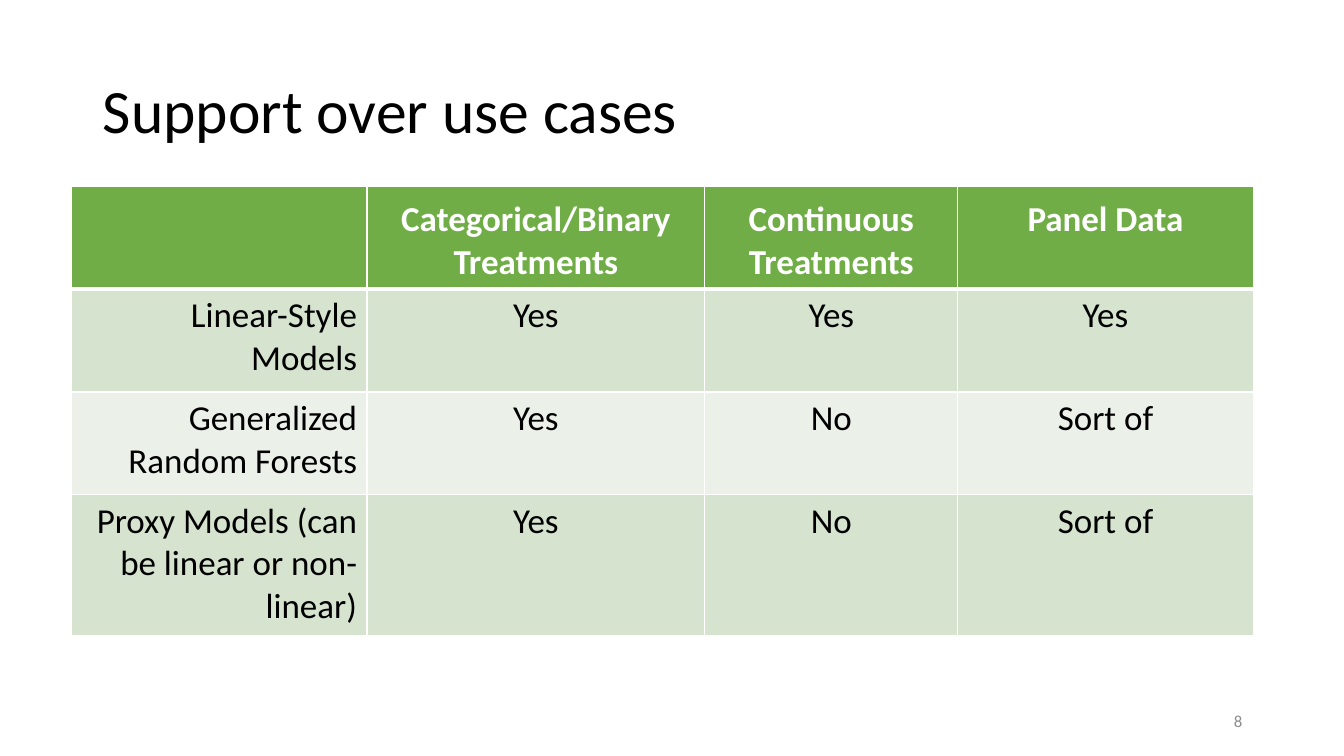
from lxml import etree
from pptx import Presentation
from pptx.dml.color import RGBColor
from pptx.enum.text import MSO_ANCHOR as Anchor, PP_ALIGN as Align
from pptx.oxml.ns import qn
from pptx.util import Inches, Pt

FONT = "Calibri"
WHITE, BLACK, GREY = "FFFFFF", "000000", "8C8C8C"
HEADER_GREEN = "70AD47"
BAND_GREENS = ("D5E3CF", "EBF1E9")

COLUMN_WIDTHS = (2.93, 3.35, 2.51, 2.93)
ROW_HEIGHTS = (1.02, 1.02, 1.02, 1.4)
USE_CASES = (
    ("", "Categorical/Binary Treatments", "Continuous Treatments", "Panel Data"),
    ("Linear-Style Models", "Yes", "Yes", "Yes"),
    ("Generalized Random Forests", "Yes", "No", "Sort of"),
    ("Proxy Models (can be linear or non-linear)", "Yes", "No", "Sort of"),
)


def color(value):
    return RGBColor.from_string(value)


def write(frame, text, size, fill, align, bold=False):
    paragraph = frame.paragraphs[0]
    paragraph.alignment = align
    run = paragraph.add_run()
    run.text = text
    run.font.name = FONT
    run.font.size = Pt(size)
    run.font.bold = bold
    run.font.color.rgb = color(fill)
    return paragraph


def place(shape, left, top, width, height):
    shape.left, shape.top = Inches(left), Inches(top)
    shape.width, shape.height = Inches(width), Inches(height)


def set_borders(cell, **widths):
    """Draw white cell borders; widths in points by side L, R, T, B."""
    properties = cell._tc.get_or_add_tcPr()
    for index, side in enumerate("LRTB"):
        line = etree.Element(qn(f"a:ln{side}"), w=str(Pt(widths.get(side, 1))))
        solid = etree.SubElement(line, qn("a:solidFill"))
        etree.SubElement(solid, qn("a:srgbClr"), val=WHITE)
        properties.insert(index, line)


def add_title(slide, left, top, width, height):
    title = slide.shapes.title
    place(title, left, top, width, height)
    title.text_frame.vertical_anchor = Anchor.MIDDLE
    heading = write(title.text_frame, "Support over use cases", 44, BLACK, Align.LEFT)
    heading.line_spacing = 0.9


def fill_cell(cell, text, row, column):
    is_header = row == 0
    cell.fill.solid()
    cell.fill.fore_color.rgb = color(HEADER_GREEN if is_header else BAND_GREENS[(row - 1) % 2])
    # A heavier rule separates the header from the body
    if is_header:
        set_borders(cell, B=3)
    else:
        set_borders(cell, T=3 if row == 1 else 1)
    cell.vertical_anchor = Anchor.TOP
    if is_header:
        cell.margin_top = Inches(0.12)
    if text:
        align = Align.RIGHT if column == 0 else Align.CENTER
        write(cell.text_frame, text, 25, WHITE if is_header else BLACK, align, is_header)


def add_support_table(slide, left, top):
    frame = slide.shapes.add_table(
        len(ROW_HEIGHTS), len(COLUMN_WIDTHS), Inches(left), Inches(top),
        Inches(sum(COLUMN_WIDTHS)), Inches(sum(ROW_HEIGHTS)))
    table = frame.table
    for column, width in zip(table.columns, COLUMN_WIDTHS):
        column.width = Inches(width)
    for row, height in zip(table.rows, ROW_HEIGHTS):
        row.height = Inches(height)
    for row, entries in enumerate(USE_CASES):
        for column, text in enumerate(entries):
            fill_cell(table.cell(row, column), text, row, column)


def add_page_number(slide, left, top, width, height):
    number = slide.shapes.add_textbox(*map(Inches, (left, top, width, height)))
    number.text_frame.word_wrap = True
    number.text_frame.vertical_anchor = Anchor.MIDDLE
    write(number.text_frame, "8", 12, GREY, Align.RIGHT)


def main():
    deck = Presentation()
    deck.slide_width, deck.slide_height = Inches(13.33), Inches(7.5)
    slide = deck.slides.add_slide(deck.slide_layouts[5])
    add_title(slide, 0.92, 0.4, 11.5, 1.45)
    add_support_table(slide, 0.71, 1.85)
    add_page_number(slide, 9.42, 6.95, 3, 0.4)
    deck.save("out.pptx")


if __name__ == "__main__":
    main()
